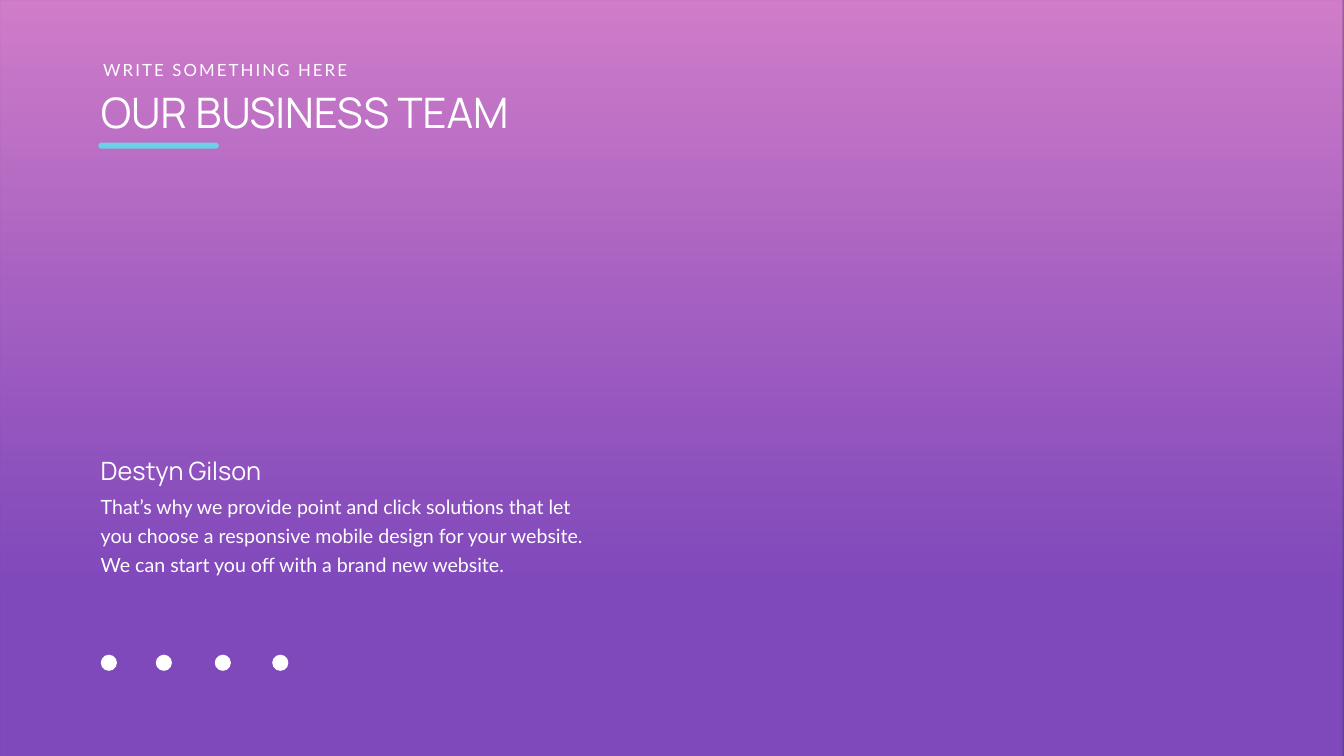
from pptx import Presentation
from pptx.dml.color import RGBColor
from pptx.enum.shapes import MSO_SHAPE as Kind
from pptx.enum.text import MSO_ANCHOR as Anchor, MSO_AUTO_SIZE as Auto, PP_ALIGN as Align
from pptx.oxml.ns import qn
from pptx.util import Inches, Pt
from lxml.etree import SubElement

WIDE, HIGH = 26.66, 15
WHITE, CYAN, SLATE = "FFFFFF", "6CD1E5", "363D48"
HEAD, BODY = "Manrope", "Lato"


def color(code):
    return RGBColor.from_string(code)


class Page:
    def __init__(self, slide, ink=WHITE):
        self.slide = slide
        self.ink = ink

    def ground(self, code):
        fill = self.slide.background.fill
        fill.solid()
        fill.fore_color.rgb = color(code)

    def shape(self, kind, box, code):
        item = self.slide.shapes.add_shape(kind, *map(Inches, box))
        item.shadow.inherit = False
        item.fill.solid()
        item.fill.fore_color.rgb = color(code)
        item.line.fill.background()
        return item

    def veil(self, box, stops):
        """Add a see-through gradient, top to bottom, behind all else."""
        item = self.shape(Kind.RECTANGLE, box, WHITE)
        item.fill.gradient()
        item.fill.gradient_angle = 270
        for stop, (place, code, _) in zip(item.fill.gradient_stops, stops):
            stop.position = place
            stop.color.rgb = color(code)
        tints = item.element.spPr.iter(qn("a:srgbClr"))
        for tint, (_, _, solid) in zip(tints, stops):
            SubElement(tint, qn("a:alpha")).set("val", str(solid * 1000))
        self.slide.shapes.element.insert(2, item.element)

    def label(self, item, words, size, font, wrap=True, lead=None, space=0):
        frame = item.text_frame
        frame.word_wrap = wrap
        frame.auto_size = Auto.SHAPE_TO_FIT_TEXT
        frame.vertical_anchor = Anchor.TOP
        para = frame.paragraphs[0]
        para.alignment = Align.LEFT
        if lead:
            para.line_spacing = Pt(lead)
        run = para.add_run()
        run.text = words
        run.font.size = Pt(size)
        run.font.name = font
        run.font.color.rgb = color(self.ink)
        if space:
            run._r.get_or_add_rPr().set("spc", str(space * 100))

    def title(self, box, words, size, font):
        item = self.slide.shapes.title
        item.left, item.top, item.width, item.height = map(Inches, box)
        self.label(item, words, size, font)

    def text(self, box, words, size, font, **style):
        item = self.slide.shapes.add_textbox(*map(Inches, box))
        self.label(item, words, size, font, **style)


def main():
    deck = Presentation()
    deck.slide_width, deck.slide_height = Inches(WIDE), Inches(HIGH)
    page = Page(deck.slides.add_slide(deck.slide_layouts[5]))

    # Background
    page.ground(SLATE)
    page.veil((0, 0, WIDE, HIGH), [(0, "E184D6", 90), (0.78, "914BD7", 80)])

    # Heading
    page.title((1.9, 1.67, 10.55, 1.11), "OUR BUSINESS TEAM", 60, HEAD)
    page.text((1.95, 1.13, 5.14, 0.5), "WRITE SOMETHING HERE", 24, BODY,
              wrap=False, space=3)
    rule = page.shape(Kind.ROUNDED_RECTANGLE, (1.95, 2.83, 2.39, 0.12), CYAN)
    rule.adjustments[0] = 0.5

    # Team member
    page.text((1.9, 9.68, 9.96, 1.77),
              "That’s why we provide point and click solutions that let you "
              "choose a responsive mobile design for your website. "
              "We can start you off with a brand new website.",
              28, BODY, lead=40.8)
    page.text((1.9, 8.98, 3.66, 0.71), "Destyn Gilson", 36, HEAD, wrap=False)

    # Plain dots for the social links
    dot, mid = 0.32, 13.15
    for x in (2.16, 3.25, 4.42, 5.56):
        page.shape(Kind.OVAL, (x - dot / 2, mid - dot / 2, dot, dot), WHITE)

    deck.save("out.pptx")


if __name__ == "__main__":
    main()
